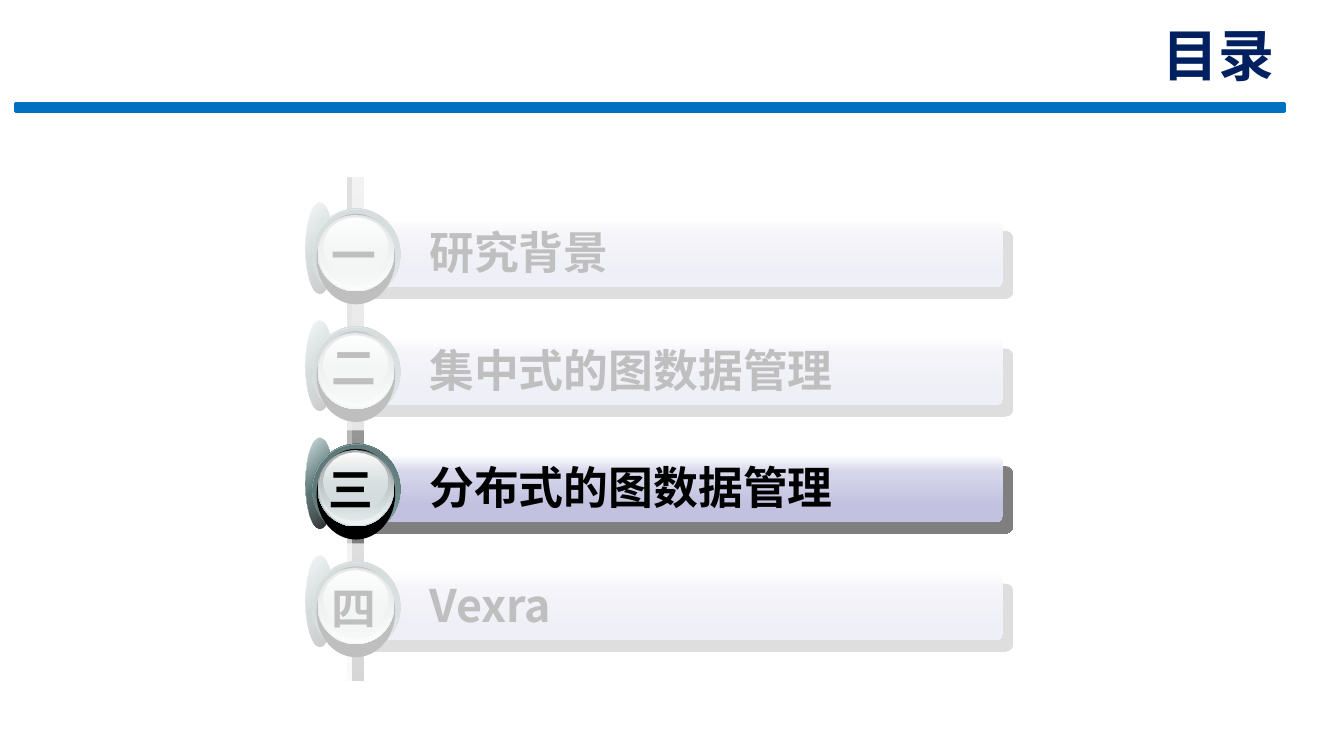
import pptx
import pptx.dml.color
import pptx.enum.shapes
import pptx.enum.text
import pptx.oxml
import pptx.oxml.ns
import pptx.util
from pptx.util import Inches

COLORS = {
    "white": "FFFFFF", "black": "000000", "rule": "0070C0", "title": "002060",
    "bar_light": "D6D6EB", "bar_dark": "C2C2E0",
    "pole_mid": "808080", "pole_pale": "ECECEC", "pole_light": "CFCFCF", "pole_dark": "5F5F5F",
    "teal": "83A6A7", "teal_dark": "475A5A", "teal_deep": "53696A",
    "glass": "D6E1E2", "glass_pale": "F1F5F5", "glass_gray": "AAB2B3", "glass_dark": "636869",
}
CJK_FONT = "Noto Sans CJK SC"
SHAPES = pptx.enum.shapes.MSO_SHAPE
ROW_PITCH = 3.5 / 3

CHAPTERS = [
    ("一", "研究背景", 3.19, 2.21),
    ("二", "集中式的图数据管理", 3.19, 3.32),
    ("三", "分布式的图数据管理", 3.16, 4.53),
    ("四", "Vexra", 3.19, 5.71),
]

MEDAL_LAYERS = [
    (0, 0, 0.28, 0.9, [(0, "white"), (50, "teal"), (100, "white")], 45),
    (0, 0, 0.28, 0.9, [(0, "teal", 32), (100, "black", 90)], 45),
    (0.07, 0.06, 0.87, 0.9, [(0, "teal_dark"), (50, "teal"), (100, "teal_dark")], 315),
    (0.07, 0.07, 0.87, 0.9, [(0, "teal_deep"), (100, "teal", 0)], 45),
    (0.11, 0.11, 0.78, 0.9, [(0, "black")], 0),
    (0.12, 0.12, 0.76, 0.76, [(0, "glass_dark"), (100, "glass")], 90),
    (0.13, 0.12, 0.74, 0.74, [(0, "glass", 0), (100, "glass_pale")], 90),
    (0.14, 0.13, 0.7, 0.69, [(0, "glass_gray"), (100, "glass", 48)], 90),
    (0.18, 0.15, 0.63, 0.56, [(0, "white"), (100, "glass", 38)], 90),
]


def color_xml(name, alpha=100):
    """Return a colour element as text, with its opacity in percent."""
    return f'<a:srgbClr val="{COLORS[name]}"><a:alpha val="{alpha * 1000}"/></a:srgbClr>'


def paint(shape, stops, angle):
    """Fill a shape with one colour or with a linear gradient."""
    namespace = pptx.oxml.ns.nsdecls("a")
    if len(stops) == 1:
        fill = f"<a:solidFill {namespace}>{color_xml(*stops[0][1:])}</a:solidFill>"
    else:
        marks = "".join(f'<a:gs pos="{stop[0] * 1000}">{color_xml(*stop[1:])}</a:gs>' for stop in stops)
        fill = (f'<a:gradFill {namespace} rotWithShape="1"><a:gsLst>{marks}</a:gsLst>'
                f'<a:lin ang="{angle * 60000}" scaled="0"/></a:gradFill>')
    shape.fill.background()
    properties = shape.element.spPr
    properties.replace(properties.find(pptx.oxml.ns.qn("a:noFill")), pptx.oxml.parse_xml(fill))


def add_block(slide, preset, left, top, width, height, stops, angle=90):
    """Add a filled shape without outline or shadow."""
    block = slide.shapes.add_shape(preset, Inches(left), Inches(top), Inches(width), Inches(height))
    block.shadow.inherit = False
    block.line.fill.background()
    paint(block, stops, angle)
    return block


def style_text(frame, size, color, latin):
    """Format the only run of a text frame."""
    run = frame.paragraphs[0].runs[0]
    run.font.size = pptx.util.Pt(size)
    run.font.bold = True
    run.font.color.rgb = pptx.dml.color.RGBColor.from_string(COLORS[color])
    run.font.name = latin
    east_asian = f'<a:ea {pptx.oxml.ns.nsdecls("a")} typeface="{CJK_FONT}"/>'
    run.font._element.find(pptx.oxml.ns.qn("a:latin")).addnext(pptx.oxml.parse_xml(east_asian))


def add_words(slide, words, left, top, width, height, wrap):
    """Add a line of bold black agenda text."""
    box = slide.shapes.add_textbox(Inches(left), Inches(top), Inches(width), Inches(height))
    box.text_frame.text = words
    box.text_frame.word_wrap = wrap
    style_text(box.text_frame, 32, "black", CJK_FONT)


def add_header(slide, left, top, width, height):
    """Place the title above the blue rule."""
    rule = add_block(slide, SHAPES.RECTANGLE, left, top + 0.69, width, 0.08, [(0, "rule")])
    rule.line.color.rgb = pptx.dml.color.RGBColor.from_string(COLORS["rule"])
    rule.line.width = pptx.util.Pt(2)
    title = slide.shapes.title
    title.left, title.top = Inches(left + width - 6.33), Inches(top)
    title.width, title.height = Inches(6.33), Inches(height)
    frame = title.text_frame
    frame.text = "目录"
    frame.auto_size = pptx.enum.text.MSO_AUTO_SIZE.NONE
    frame.vertical_anchor = pptx.enum.text.MSO_ANCHOR.BOTTOM
    frame.paragraphs[0].alignment = pptx.enum.text.PP_ALIGN.RIGHT
    style_text(frame, 40, "title", "Lato")


def add_bar(slide, chapter, left, top, width, height):
    """Place a chapter bar with its hard shadow and its name."""
    bar = add_block(slide, SHAPES.ROUNDED_RECTANGLE, left, top, width, height,
                    [(0, "white"), (25, "bar_light"), (75, "bar_dark")])
    bar.adjustments[0] = 0.109
    shadow = (f'<a:outerShdw {pptx.oxml.ns.nsdecls("a")} blurRad="0" dist="{pptx.util.Pt(10.6)}" '
              f'dir="{49 * 60000}" algn="ctr" rotWithShape="0">{color_xml("black", 50)}</a:outerShdw>')
    bar.element.spPr.find(pptx.oxml.ns.qn("a:effectLst")).append(pptx.oxml.parse_xml(shadow))
    add_words(slide, chapter, left + 0.71, top, 5.34, 1.17, True)


def add_pole(slide, left, top, height):
    """Place the two strips of the upright pole."""
    add_block(slide, SHAPES.RECTANGLE, left, top, 0.05, height, [(0, "pole_mid"), (100, "pole_pale")])
    add_block(slide, SHAPES.RECTANGLE, left + 0.05, top, 0.12, height,
              [(0, "pole_light"), (100, "pole_dark")])


def add_medal(slide, left, top):
    """Stack the ellipses of one glass medal."""
    for across, down, width, height, stops, angle in MEDAL_LAYERS:
        add_block(slide, SHAPES.OVAL, left + across, top + down, width, height, stops, angle)


def add_agenda(slide, left, top):
    """Place bars, pole, medals and numerals, then veil the inactive chapters."""
    for row, (_, chapter, _, _) in enumerate(CHAPTERS):
        add_bar(slide, chapter, left + 0.42, top + 0.17 + row * ROW_PITCH, 6.5, 0.67)
    add_pole(slide, left + 0.41, top - 0.25, 5)
    for row in range(len(CHAPTERS)):
        add_medal(slide, left, top + row * ROW_PITCH)
    for numeral, _, numeral_left, numeral_top in CHAPTERS:
        add_words(slide, numeral, numeral_left, numeral_top, 0.65, 0.64, False)
    for veil_box in ((2.14, 1.55, 9.06, 2.72), (1.86, 5.39, 9.06, 1.48)):
        add_block(slide, SHAPES.RECTANGLE, *veil_box, [(0, "white", 75)])


def main():
    """Build the agenda slide and save it."""
    presentation = pptx.Presentation()
    presentation.slide_width, presentation.slide_height = Inches(13.33), Inches(7.5)
    slide = presentation.slides.add_slide(presentation.slide_layouts[5])
    add_header(slide, 0.15, 0.34, 12.59, 0.58)
    add_agenda(slide, 3.03, 2.01)
    presentation.save("out.pptx")


if __name__ == "__main__":
    main()
